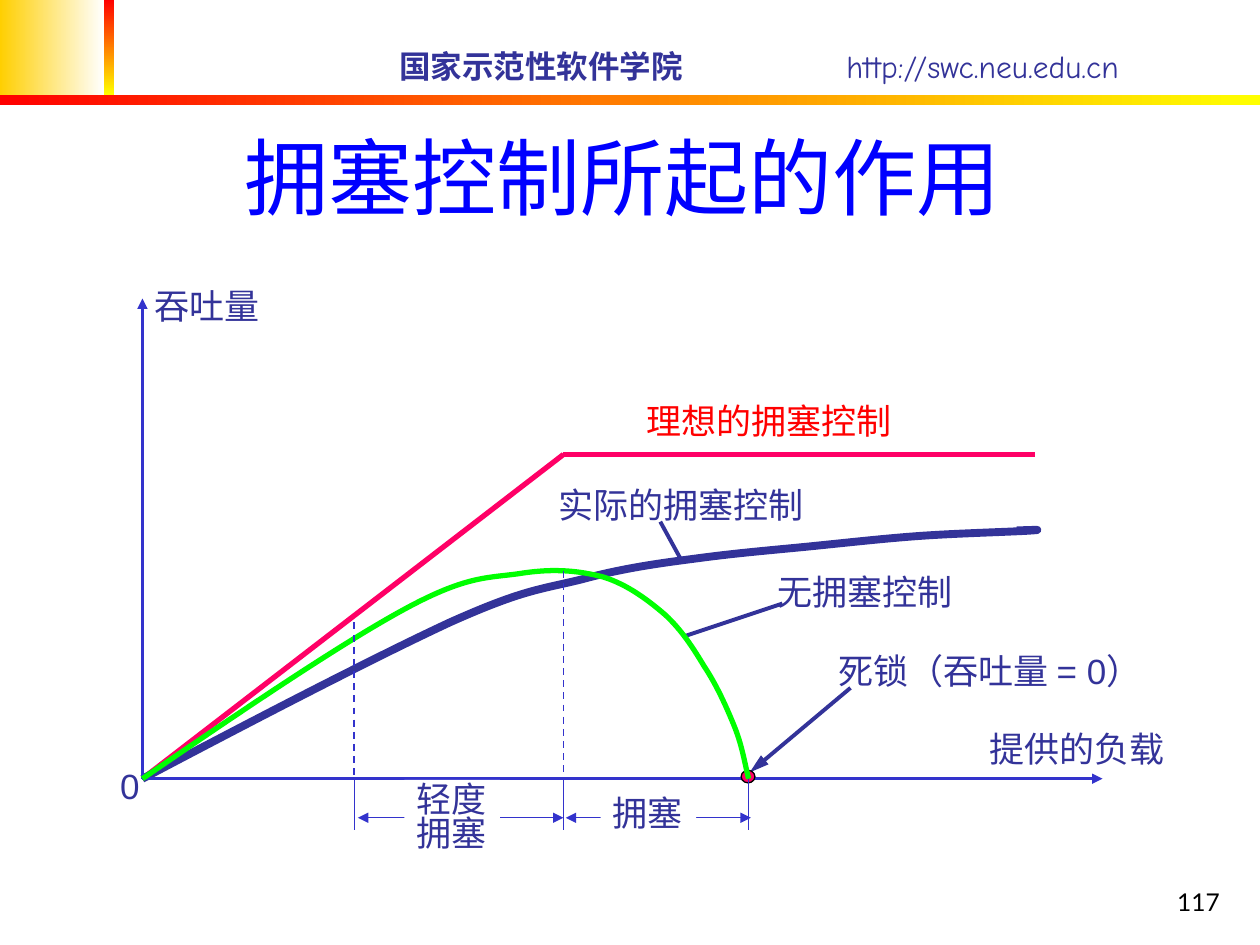
from typing import NamedTuple, Optional

from lxml import etree
from pptx import Presentation
from pptx.dml.color import RGBColor
from pptx.enum.dml import MSO_LINE
from pptx.enum.shapes import MSO_CONNECTOR, MSO_SHAPE
from pptx.enum.text import MSO_ANCHOR, MSO_AUTO_SIZE, PP_ALIGN
from pptx.oxml.ns import qn
from pptx.util import Pt

RECT, OVAL = MSO_SHAPE.RECTANGLE, MSO_SHAPE.OVAL
STRAIGHT, DASH = MSO_CONNECTOR.STRAIGHT, MSO_LINE.DASH
LEFT, CENTER, RIGHT = PP_ALIGN.LEFT, PP_ALIGN.CENTER, PP_ALIGN.RIGHT
TOP, MIDDLE, BOTTOM = MSO_ANCHOR.TOP, MSO_ANCHOR.MIDDLE, MSO_ANCHOR.BOTTOM
FIT, NO_FIT = MSO_AUTO_SIZE.SHAPE_TO_FIT_TEXT, MSO_AUTO_SIZE.NONE

NAVY, AXIS, PINK, GREEN = "333399", "3333CC", "FF0066", "00FF00"
RED, YELLOW, WHITE, BLACK = "FF0000", "FFFF00", "FFFFFF", "000000"

# Key positions of the diagram
X0, Y0 = 81.4, 445
X_MILD, X_KNEE, X_DEAD = 202.5, 322, 427.8
Y_IDEAL, Y_TICK, Y_SPAN = 259.7, 474.5, 467.3


class Band(NamedTuple):
    box: tuple
    start: str
    end: str
    angle: int


class Line(NamedTuple):
    start: tuple
    end: tuple
    color: str
    width: float
    head: bool = False
    tail: bool = False
    dash: bool = False
    arrow_length: str = "med"


class Label(NamedTuple):
    text: str
    box: tuple
    color: str = NAVY
    fill: Optional[str] = None
    spacing: Optional[float] = None


class Curve(NamedTuple):
    """A chain of cubic Beziers: the start, then three points per piece."""
    points: list
    color: str
    width: float


BANDS = [
    Band((0, 0, 59.5, 54.3), "FFCF01", WHITE, 0),
    Band((59.5, 0, 5.8, 54.3), RED, YELLOW, 270),
    Band((0, 54.3, 720, 5.8), RED, YELLOW, 0),
]
IDEAL = [
    Line((X0, Y0), (X_KNEE, Y_IDEAL), PINK, 3),
    Line((X_KNEE, Y_IDEAL), (591.5, Y_IDEAL), PINK, 3),
]
ACTUAL = Curve([
    (X0, Y0), (148.3, 409.7), (215.3, 375.1), (257, 355.7),
    (298.8, 337), (308.2, 337), (331.9, 331.2),
    (355.7, 324.7), (377.3, 321.8), (398.9, 319),
    (420.5, 316.1), (438.5, 314.6), (460.1, 312.5),
    (482.4, 310.3), (507.6, 307.4), (529.2, 306),
    (550.8, 304.6), (581.8, 303.8), (590.4, 303.1),
    (599, 302.4), (582.5, 303.1), (581, 303.1)], NAVY, 4.5)
UNCONTROLLED = Curve([
    (X0, Y0), (138.2, 406.1), (195.8, 367.2), (231.8, 347.8),
    (267.8, 328.3), (279.4, 330.5), (298.1, 327.6),
    (316.8, 324.7), (331.2, 326.2), (344.9, 329.8),
    (358.6, 334.1), (370.1, 342.7), (380.2, 351.4),
    (389.5, 360), (396, 370.1), (402.5, 380.9),
    (409.7, 391.7), (415.4, 404.6), (419.8, 415.4),
    (424.1, 426.2), (425.5, 435.6), (X_DEAD, Y0)], GREEN, 3)
AXES = [
    Line((X0, Y0), (X0, 170.6), AXIS, 1.5, tail=True),
    Line((X0, Y0), (630, Y0), AXIS, 1.5, tail=True),
]
POINTERS = [
    Line((377.3, 298.1), (389.5, 320.4), NAVY, 2.25),
    Line((447.1, 344.9), (391, 363.6), NAVY, 2.25),
    Line((486, 393.1), (428.4, 441.4), NAVY, 2.25, tail=True, arrow_length="lg"),
]
SPANS = [
    Line((323.3, Y_SPAN), (429.1, Y_SPAN), AXIS, 0.75, head=True, tail=True),
    Line((204.5, Y_SPAN), (X_KNEE, Y_SPAN), AXIS, 0.75, head=True, tail=True),
]
GUIDES = [Line((x, top), (x, Y0), AXIS, 1, dash=True)
          for x, top in ((X_KNEE, 326.2), (X_MILD, 355.7))]
TICKS = [Line((x, Y0), (x, Y_TICK), AXIS, 0.75)
         for x in (X_MILD, X_KNEE, X_DEAD)]
LABELS = [
    Label("提供的负载", (558.2, 412.2, 115, 31.7)),
    Label("吞吐量", (81.2, 159.1, 75, 31.7)),
    Label("理想的拥塞控制", (362.4, 224.6, 155.5, 31.7), RED),
    Label("实际的拥塞控制", (312.1, 272.9, 155.5, 31.7)),
    Label("无拥塞控制", (437.2, 322.2, 115, 31.7)),
    Label("死锁（吞吐量 = 0）", (472, 367.5, 202.6, 31.7)),
    Label("0", (61.6, 433.4, 25.5, 31.7)),
    Label("拥塞", (343.2, 448.6, 54.6, 31.7), fill=WHITE),
    Label("轻度\n拥塞", (231.1, 445.7, 54.6, 46.1), fill=WHITE, spacing=0.8),
]


def rgb(value: str) -> RGBColor:
    return RGBColor.from_string(value)


def add_preset(shapes, kind, box, fill=None, outline=None):
    sp = shapes.add_shape(kind, *map(Pt, box))
    sp.shadow.inherit = False
    if fill:
        sp.fill.solid()
        sp.fill.fore_color.rgb = rgb(fill)
    if outline:
        sp.line.color.rgb = rgb(outline)
        sp.line.width = Pt(0.75)
    else:
        sp.line.fill.background()
    return sp


def add_band(shapes, band: Band) -> None:
    fill = add_preset(shapes, RECT, band.box).fill
    fill.gradient()
    fill.gradient_angle = band.angle
    for stop, color in zip(fill.gradient_stops, (band.start, band.end)):
        stop.color.rgb = rgb(color)


def add_text(shapes, text: str, box: tuple, *, size=20, font="Arial", color=NAVY,
             align=LEFT, anchor=TOP, wrap=False, fit=NO_FIT, fill=None,
             spacing=None):
    sp = shapes.add_textbox(*map(Pt, box))
    if fill:
        sp.fill.solid()
        sp.fill.fore_color.rgb = rgb(fill)
    tf = sp.text_frame
    tf.word_wrap, tf.vertical_anchor, tf.auto_size = wrap, anchor, fit
    tf.text = text
    for p in tf.paragraphs:
        p.alignment = align
        if spacing:
            p.line_spacing = spacing
        for r in p.runs:
            r.font.size, r.font.name = Pt(size), font
            r.font.color.rgb = rgb(color)
    return tf


def add_header(shapes, school: str, address: str) -> None:
    """Put the bold school name and its web address on one tabbed line."""
    style = dict(size=18, font="Comic Neue")
    tf = add_text(shapes, school, (221, 23.4, 482.4, 28.8), anchor=MIDDLE,
                  wrap=True, **style)
    p = tf.paragraphs[0]
    tabs = etree.SubElement(p._p.get_or_add_pPr(), qn("a:tabLst"))
    etree.SubElement(tabs, qn("a:tab"), pos=str(Pt(255.6)), algn="l")
    p.runs[0].font.bold = True
    r = p.add_run()
    r.text = "\t" + address
    r.font.size, r.font.name = Pt(style["size"]), style["font"]
    r.font.color.rgb = rgb(NAVY)


def add_line(shapes, line: Line) -> None:
    sp = shapes.add_connector(STRAIGHT, *map(Pt, line.start + line.end))
    sp.line.color.rgb = rgb(line.color)
    sp.line.width = Pt(line.width)
    if line.dash:
        sp.line.dash_style = DASH
    ln = sp.line._get_or_add_ln()
    for shown, tag in ((line.head, "a:headEnd"), (line.tail, "a:tailEnd")):
        if shown:
            etree.SubElement(ln, qn(tag), type="triangle", len=line.arrow_length)
    etree.SubElement(sp._element.spPr, qn("a:effectLst"))


def add_curve(shapes, curve: Curve) -> None:
    """Lay out the control points, then join each three into a Bezier piece."""
    start, *rest = [tuple(map(Pt, point)) for point in curve.points]
    builder = shapes.build_freeform(*start)
    builder.add_line_segments(rest, close=False)
    sp = builder.convert_to_shape()
    segments = list(sp._element.iter(qn("a:lnTo")))
    for i in range(0, len(segments), 3):
        bezier = etree.Element(qn("a:cubicBezTo"))
        segments[i].addprevious(bezier)
        for segment in segments[i:i + 3]:
            bezier.append(segment[0])
            segment.getparent().remove(segment)
    sp.shadow.inherit = False
    sp.fill.background()
    sp.line.color.rgb = rgb(curve.color)
    sp.line.width = Pt(curve.width)


def main() -> None:
    prs = Presentation()
    prs.slide_width, prs.slide_height = Pt(720), Pt(540)
    shapes = prs.slides.add_slide(prs.slide_layouts[6]).shapes

    for band in BANDS:
        add_band(shapes, band)
    add_header(shapes, "国家示范性软件学院", "http://swc.neu.edu.cn")
    add_text(shapes, "拥塞控制所起的作用", (12.6, 17.6, 686, 115.2), size=48,
             font="Lato", color="0000FF", align=CENTER, anchor=BOTTOM, wrap=True)

    for line in IDEAL:
        add_line(shapes, line)
    add_curve(shapes, ACTUAL)
    for line in AXES + POINTERS:
        add_line(shapes, line)
    add_preset(shapes, OVAL, (423.5, 440.2, 7.9, 7.2), PINK, BLACK)
    for line in SPANS:
        add_line(shapes, line)
    add_curve(shapes, UNCONTROLLED)
    for line in GUIDES + TICKS:
        add_line(shapes, line)
    for label in LABELS:
        add_text(shapes, label.text, label.box, color=label.color, fit=FIT,
                 fill=label.fill, spacing=label.spacing)
    add_text(shapes, "117", (554.4, 491.4, 149.8, 36), size=14, font="Lato",
             color=BLACK, align=RIGHT, anchor=BOTTOM, wrap=True)
    prs.save("out.pptx")


if __name__ == "__main__":
    main()
